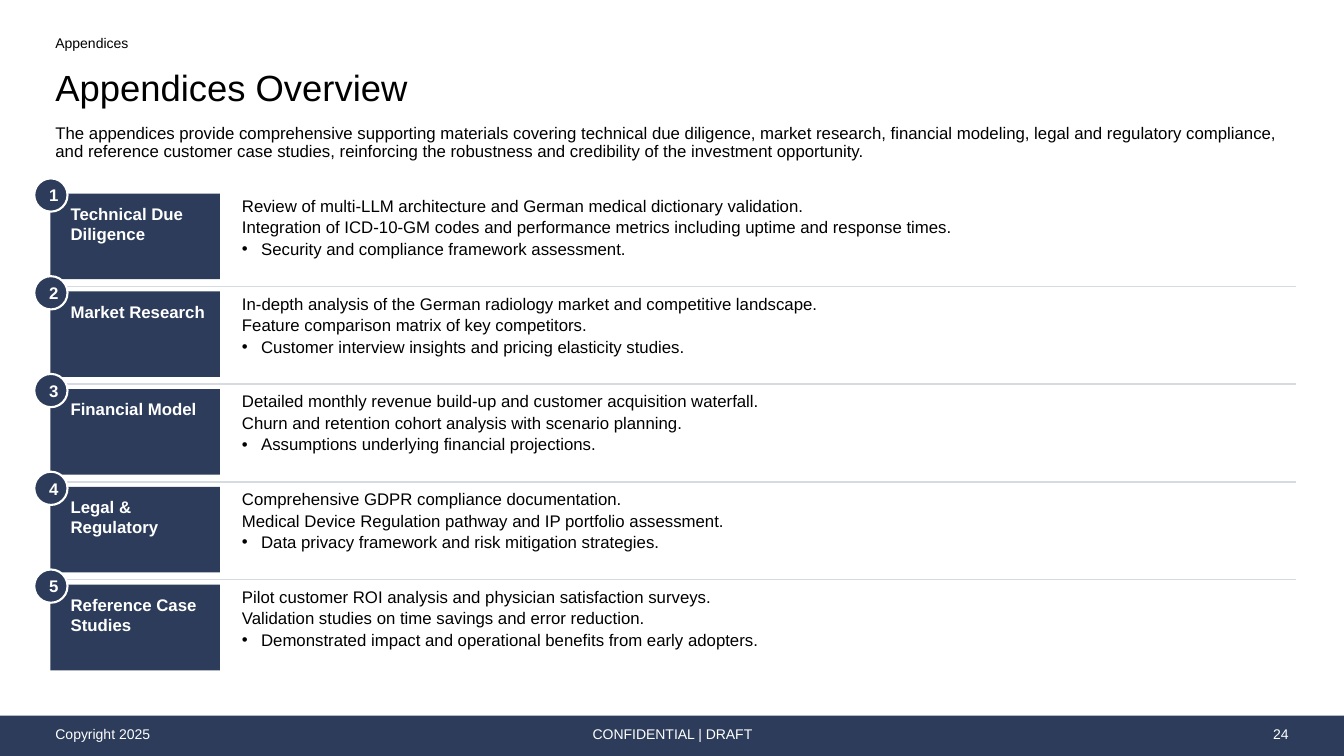
from dataclasses import dataclass

from lxml import etree
from pptx import Presentation
from pptx import util as u
from pptx.dml.color import RGBColor
from pptx.enum import shapes, text
from pptx.oxml import ns

WIDTH, HEIGHT = 133.3, 75  # slide size in grid units
UNIT = u.Inches(0.1)       # one grid column or row


@dataclass(frozen=True)
class Theme:
    font: str = "Arial"
    navy: str = "2C3C5A"
    rule: str = "D5DBE1"
    ink: str = "000000"
    white: str = "FFFFFF"
    title: int = 26
    body: int = 12
    small: int = 10


def grid(*cells):
    return [round(cell * UNIT) for cell in cells]


class Page:
    """Draws themed elements on one slide; lengths are grid units."""

    def __init__(self, slide, theme):
        self.items = slide.shapes
        self.theme = theme

    def fill_text(self, shape, lines, size, color, insets=None, bold=False,
                  align=text.PP_ALIGN.LEFT, anchor=text.MSO_ANCHOR.TOP,
                  spacing=None, after=None, bullet_last=False):
        frame = shape.text_frame
        frame.word_wrap = True
        frame.vertical_anchor = anchor
        if insets:
            (frame.margin_left, frame.margin_top,
             frame.margin_right, frame.margin_bottom) = grid(*insets)
        frame.text = lines
        if bullet_last:
            self.bullet(frame.paragraphs[-1])
        for paragraph in frame.paragraphs:
            paragraph.alignment = align
            if spacing:
                paragraph.line_spacing = spacing
            if after:
                paragraph.space_after = u.Pt(after)
            for run in paragraph.runs:
                run.font.name = self.theme.font
                run.font.size = u.Pt(size)
                run.font.bold = bold
                run.font.color.rgb = RGBColor.from_string(color)

    def bullet(self, paragraph):
        props = paragraph._p.get_or_add_pPr()
        indent = grid(1.9)[0]
        props.set("marL", str(indent))
        props.set("indent", str(-indent))
        etree.SubElement(props, ns.qn("a:buFont")).set("typeface", self.theme.font)
        etree.SubElement(props, ns.qn("a:buChar")).set("char", "•")

    def text(self, box, lines, size, color=None, **style):
        shape = self.items.add_textbox(*grid(*box))
        self.fill_text(shape, lines, size, color or self.theme.ink, **style)

    def block(self, kind, box, outline=None):
        shape = self.items.add_shape(kind, *grid(*box))
        shape.shadow.inherit = False
        shape.fill.solid()
        shape.fill.fore_color.rgb = RGBColor.from_string(self.theme.navy)
        if outline:
            shape.line.color.rgb = RGBColor.from_string(outline)
            shape.line.width = u.Pt(1.5)
        else:
            shape.line.fill.background()
        return shape

    def label(self, box, lines):
        shape = self.block(shapes.MSO_SHAPE.RECTANGLE, box)
        self.fill_text(shape, lines, self.theme.body, self.theme.white,
                       insets=(2, 1, 1, 1), bold=True)

    def badge(self, box, number):
        shape = self.block(shapes.MSO_SHAPE.OVAL, box, self.theme.white)
        self.fill_text(shape, str(number), self.theme.body, self.theme.white, bold=True,
                       align=text.PP_ALIGN.CENTER, anchor=text.MSO_ANCHOR.MIDDLE)

    def divider(self, left, right, top):
        line = self.items.add_connector(shapes.MSO_CONNECTOR.STRAIGHT,
                                        *grid(left, top, right, top))
        line.line.color.rgb = RGBColor.from_string(self.theme.rule)
        line.line.width = u.Pt(1)
        etree.SubElement(line._element.spPr, ns.qn("a:effectLst"))


APPENDICES = [
    ("Technical Due Diligence", [
        "Review of multi-LLM architecture and German medical dictionary validation.",
        "Integration of ICD-10-GM codes and performance metrics including uptime and response times.",
        "Security and compliance framework assessment."]),
    ("Market Research", [
        "In-depth analysis of the German radiology market and competitive landscape.",
        "Feature comparison matrix of key competitors.",
        "Customer interview insights and pricing elasticity studies."]),
    ("Financial Model", [
        "Detailed monthly revenue build-up and customer acquisition waterfall.",
        "Churn and retention cohort analysis with scenario planning.",
        "Assumptions underlying financial projections."]),
    ("Legal & Regulatory", [
        "Comprehensive GDPR compliance documentation.",
        "Medical Device Regulation pathway and IP portfolio assessment.",
        "Data privacy framework and risk mitigation strategies."]),
    ("Reference Case Studies", [
        "Pilot customer ROI analysis and physician satisfaction surveys.",
        "Validation studies on time savings and error reduction.",
        "Demonstrated impact and operational benefits from early adopters."]),
]
SUMMARY = (
    "The appendices provide comprehensive supporting materials covering technical due "
    "diligence, market research, financial modeling, legal and regulatory compliance, "
    "and reference customer case studies, reinforcing the robustness and credibility "
    "of the investment opportunity.")
MARGIN, CONTENT = 5, 123.3
FIRST_ROW, ROW_PITCH, ROW_HEIGHT = 19.2, 9.7, 8.5


def main():
    deck = Presentation()
    deck.slide_width, deck.slide_height = grid(WIDTH, HEIGHT)
    theme = Theme()
    page = Page(deck.slides.add_slide(deck.slide_layouts[6]), theme)

    # Heading
    page.text((MARGIN, 3.1, CONTENT, 2.9), "Appendices", theme.small,
              insets=(.5, .5, .5, .5), spacing=0.9)
    page.text((MARGIN, 6, CONTENT, 5.4), "Appendices Overview", theme.title,
              insets=(.5, .5, .5, 0), spacing=0.9, anchor=text.MSO_ANCHOR.MIDDLE)
    page.text((MARGIN, 11.4, CONTENT, 6.8), SUMMARY, theme.body,
              insets=(.5, 1, .5, .5), spacing=0.9)

    # Appendix rows
    for index, (name, details) in enumerate(APPENDICES):
        top = FIRST_ROW + index * ROW_PITCH
        if index:
            page.divider(4.8, 128.5, top - 0.5)
        page.text((23.5, top, 105, ROW_HEIGHT), "\n".join(details), theme.body,
                  insets=(.5, .2, .5, .2), after=1, bullet_last=True)
        page.label((MARGIN, top, 16.8, ROW_HEIGHT), name)
        page.badge((3.4, top - 1.5, 3.3, 3.3), index + 1)

    # Footer
    page.block(shapes.MSO_SHAPE.RECTANGLE, (0, 71, WIDTH, 4))
    for left, width, words, align in (
            (MARGIN, 39.7, "Copyright 2025", text.PP_ALIGN.LEFT),
            (44.2, 45, "CONFIDENTIAL | DRAFT", text.PP_ALIGN.CENTER),
            (98.3, 30, "24", text.PP_ALIGN.RIGHT)):
        page.text((left, 71.4, width, 2.8), words, theme.small, theme.white,
                  insets=(.5, .5, .5, .5), align=align,
                  anchor=text.MSO_ANCHOR.MIDDLE)

    deck.save("out.pptx")


if __name__ == "__main__":
    main()
